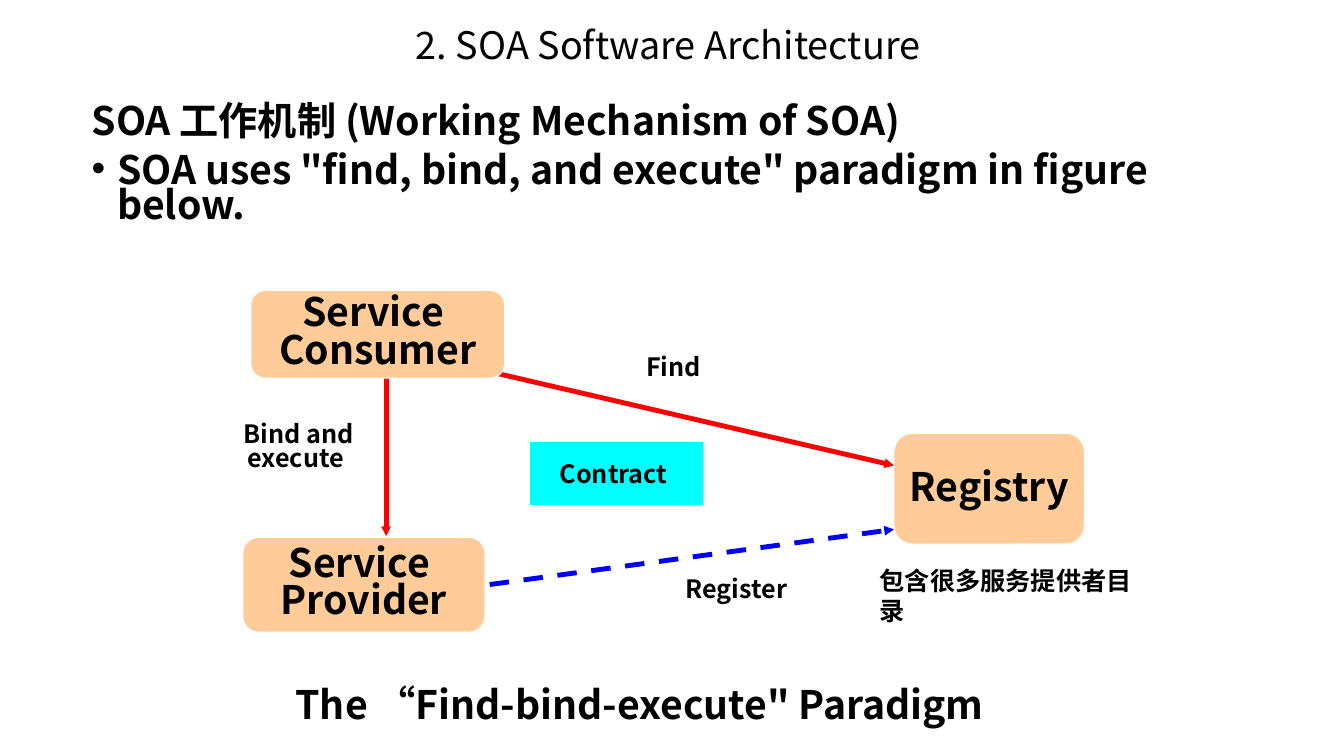
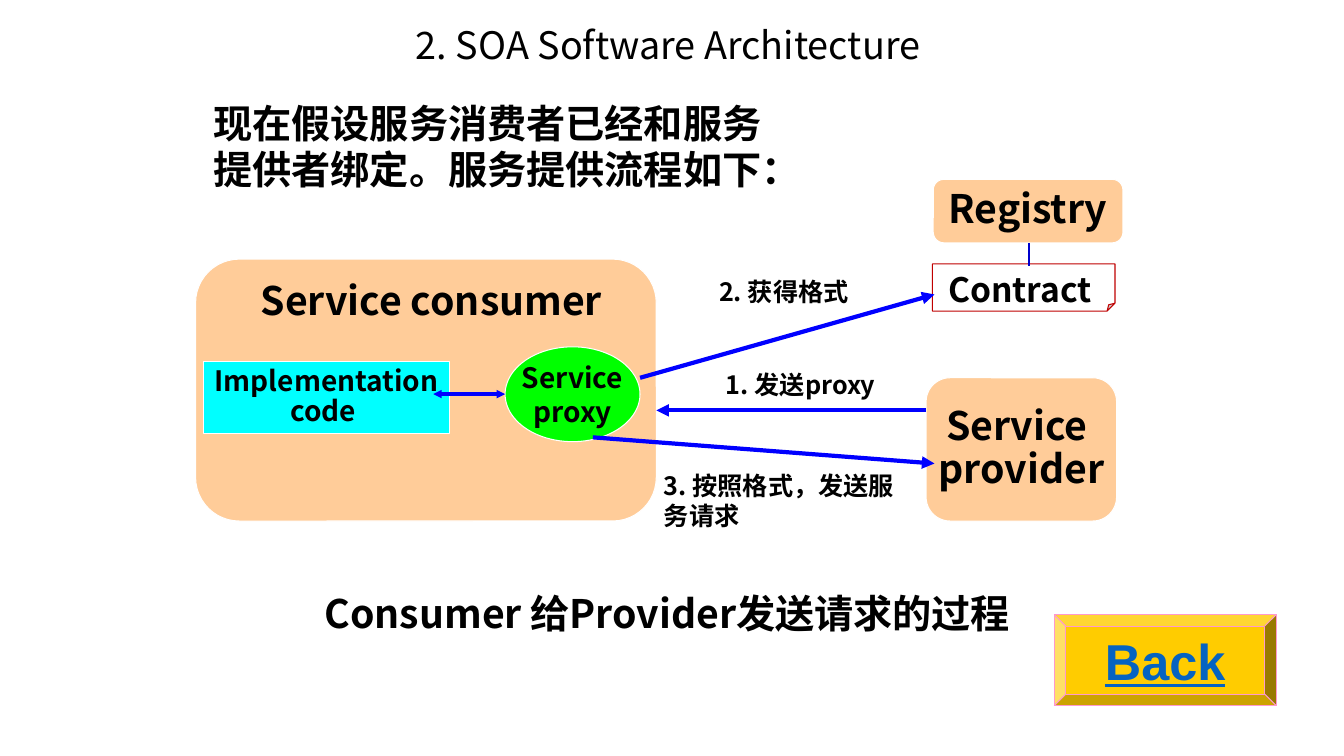
from lxml.etree import SubElement
from pptx import Presentation
from pptx.dml.color import RGBColor
from pptx.enum.dml import MSO_LINE
from pptx.enum.shapes import MSO_CONNECTOR, MSO_SHAPE
from pptx.enum.text import MSO_ANCHOR, PP_ALIGN
from pptx.oxml.ns import qn
from pptx.util import Cm, Pt

# Shared look
FONT = "Noto Sans CJK SC"
BLACK, WHITE = "000000", "FFFFFF"
PEACH, CYAN, GREEN, GOLD = "FFCC99", "00FFFF", "00FF00", "FFCC00"
RED, DARK_RED, BLUE, NAVY = "FF0000", "C00000", "0000FF", "0000CC"
PINK, LINK_BLUE = "FF99CC", "0563C1"
HEADING, LABEL = 28, 18
LEFT, CENTER = PP_ALIGN.LEFT, PP_ALIGN.CENTER


def color(hex_value):
    return RGBColor.from_string(hex_value)


def write(shape, text, size, align=CENTER, spacing=1.0, before=0, hang=0,
          bullets=(), bold=True, font=FONT, ink=BLACK, underline=None):
    """Fill a shape with text; each line of text is one paragraph."""
    frame = shape.text_frame
    frame.text = text
    for index, paragraph in enumerate(frame.paragraphs):
        paragraph.alignment = align
        paragraph.line_spacing = spacing
        if index:
            paragraph.space_before = Pt(before)
        properties = paragraph._p.get_or_add_pPr()
        if hang:
            properties.set("marL", str(Cm(hang)))
            properties.set("indent", str(-Cm(hang)))
        if index in bullets:
            SubElement(properties, qn("a:buFont"), typeface="Arial")
            SubElement(properties, qn("a:buChar"), char="•")
        for run in paragraph.runs:
            run.font.size = Pt(size)
            run.font.bold = bold
            run.font.underline = underline
            run.font.color.rgb = color(ink)
            run.font.name = font
            SubElement(run._r.get_or_add_rPr(), qn("a:ea"), typeface=font)


def add_text(slide, box, text, size=LABEL, anchor=MSO_ANCHOR.TOP, **style):
    label = slide.shapes.add_textbox(*map(Cm, box))
    label.text_frame.word_wrap = True
    label.text_frame.vertical_anchor = anchor
    write(label, text, size, **style)


def add_node(slide, box, text="", size=HEADING, kind=MSO_SHAPE.ROUNDED_RECTANGLE,
             fill=PEACH, outline=WHITE, anchor=MSO_ANCHOR.MIDDLE, wrap=False,
             side_inset=0.25, **style):
    node = slide.shapes.add_shape(kind, *map(Cm, box))
    node.shadow.inherit = False
    node.fill.solid()
    node.fill.fore_color.rgb = color(fill)
    node.line.color.rgb = color(outline)
    node.line.width = Pt(0.75)
    frame = node.text_frame
    frame.word_wrap = wrap
    frame.vertical_anchor = anchor
    frame.margin_left = frame.margin_right = Cm(side_inset)
    if text:
        write(node, text, size, **style)


def add_line(slide, start, end, ink=BLUE, width=3, heads=("tailEnd",),
             head_size="med", dash=None):
    line = slide.shapes.add_connector(
        MSO_CONNECTOR.STRAIGHT, *map(Cm, start + end))
    line.line.color.rgb = color(ink)
    line.line.width = Pt(width)
    if dash:
        line.line.dash_style = dash
    outline = line.line._get_or_add_ln()
    for head in heads:
        SubElement(outline, qn("a:" + head), type="triangle",
                   w=head_size, len=head_size)
    SubElement(line._element.spPr, qn("a:effectLst"))


def add_slide(deck):
    slide = deck.slides.add_slide(deck.slide_layouts[6])
    add_text(slide, (5.94, 0.53, 21.79, 1.3), "2. SOA Software Architecture",
             27, MSO_ANCHOR.MIDDLE, spacing=0.9, bold=False)
    return slide


def build_paradigm(slide):
    # Introduction and caption
    add_text(slide, (2.06, 2.6, 28.98, 4.17),
             "SOA 工作机制 (Working Mechanism of SOA)\n"
             'SOA uses "find, bind, and execute" paradigm in figure below.',
             HEADING, align=LEFT, spacing=0.74, before=10, hang=0.64, bullets=(1,))
    add_text(slide, (5.33, 17.27, 21.79, 1.27),
             'The “Find-bind-execute" Paradigm ', HEADING, spacing=0.78, hang=0.97)

    # Relations, behind the parties
    registry_left = 22.53
    relation = dict(width=3.5, head_size="sm")
    add_line(slide, (12.14, 9.32), (registry_left, 11.73), RED, **relation)
    add_line(slide, (12.34, 14.73), (registry_left, 13.34), BLUE,
             dash=MSO_LINE.DASH, **relation)
    add_line(slide, (9.73, 9.32), (9.73, 13.51), RED, **relation)
    add_text(slide, (15.14, 8.74, 3.81, 1.02), "Find ")
    add_text(slide, (16.33, 14.33, 4.6, 1.02), "Register ")
    add_text(slide, (5.13, 10.57, 4.8, 1.5), "Bind and execute ", spacing=0.8)

    # Parties
    add_node(slide, (13.34, 11.13, 4.39, 1.6), "Contract ", LABEL,
             MSO_SHAPE.RECTANGLE, CYAN)
    add_node(slide, (6.32, 7.32, 6.4, 2.21), "Service \nConsumer", spacing=0.8)
    add_node(slide, (6.12, 13.54, 6.1, 2.39), "Service \nProvider", spacing=0.8)
    add_node(slide, (registry_left, 10.92, 4.8, 2.79), "Registry", spacing=0.9)
    add_text(slide, (21.92, 14.12, 7.01, 1.8), "包含很多服务提供者目录", align=LEFT)


def build_request(slide):
    # Introduction and caption
    add_text(slide, (5.13, 2.51, 15.39, 3),
             "现在假设服务消费者已经和服务\n提供者绑定。服务提供流程如下：",
             HEADING, align=LEFT, spacing=0.9, before=3, hang=0.97)
    add_text(slide, (5.54, 14.73, 22.56, 1.45), "Consumer 给Provider发送请求的过程",
             HEADING, MSO_ANCHOR.MIDDLE)

    # Back button
    add_node(slide, (26.57, 15.49, 5.59, 2.29), "Back", 36, MSO_SHAPE.BEVEL,
             GOLD, PINK, font="Arial", ink=LINK_BLUE, underline=True)

    # Consumer with its code and proxy
    add_node(slide, (4.93, 6.53, 11.61, 6.6))
    add_text(slide, (6.12, 6.83, 9.5, 1.45), "Service consumer", HEADING)
    add_node(slide, (5.13, 9.12, 6.2, 1.8), "Implementation code ", 20,
             MSO_SHAPE.RECTANGLE, CYAN, anchor=MSO_ANCHOR.TOP, wrap=True,
             side_inset=0, spacing=0.9)
    add_node(slide, (12.73, 8.74, 3.4, 2.39), "Service\nproxy", 20,
             MSO_SHAPE.OVAL, GREEN)
    add_line(slide, (10.92, 9.93), (12.73, 9.93), heads=("headEnd", "tailEnd"),
             head_size="sm")

    # Registry, contract and provider
    add_node(slide, (23.52, 4.52, 4.78, 1.6), "Registry", spacing=0.9)
    add_node(slide, (23.34, 9.52, 4.8, 3.61), "Service \nprovider", spacing=0.9)
    add_node(slide, (23.5, 6.65, 4.6, 1.19), "Contract ", 24,
             MSO_SHAPE.FOLDED_CORNER, WHITE, DARK_RED, MSO_ANCHOR.TOP, wrap=True)
    add_line(slide, (25.93, 6.12), (25.93, 6.71), NAVY, 2, heads=())

    # Numbered steps
    add_line(slide, (23.34, 10.34), (16.54, 10.34))
    add_text(slide, (17.15, 9.32, 6.2, 0.86), "1. 发送proxy ", spacing=0.8)
    add_line(slide, (16.13, 9.52), (23.55, 7.42))
    add_text(slide, (17.15, 6.83, 5.21, 1.02), "2. 获得格式")
    add_line(slide, (14.94, 11.02), (23.55, 11.68))
    add_text(slide, (16.48, 11.73, 6.65, 1.8), "3. 按照格式，发送服务请求",
             align=LEFT)


def main():
    deck = Presentation()
    deck.slide_width, deck.slide_height = Cm(33.87), Cm(19.05)
    for build in (build_paradigm, build_request):
        build(add_slide(deck))
    deck.save("out.pptx")


if __name__ == "__main__":
    main()
